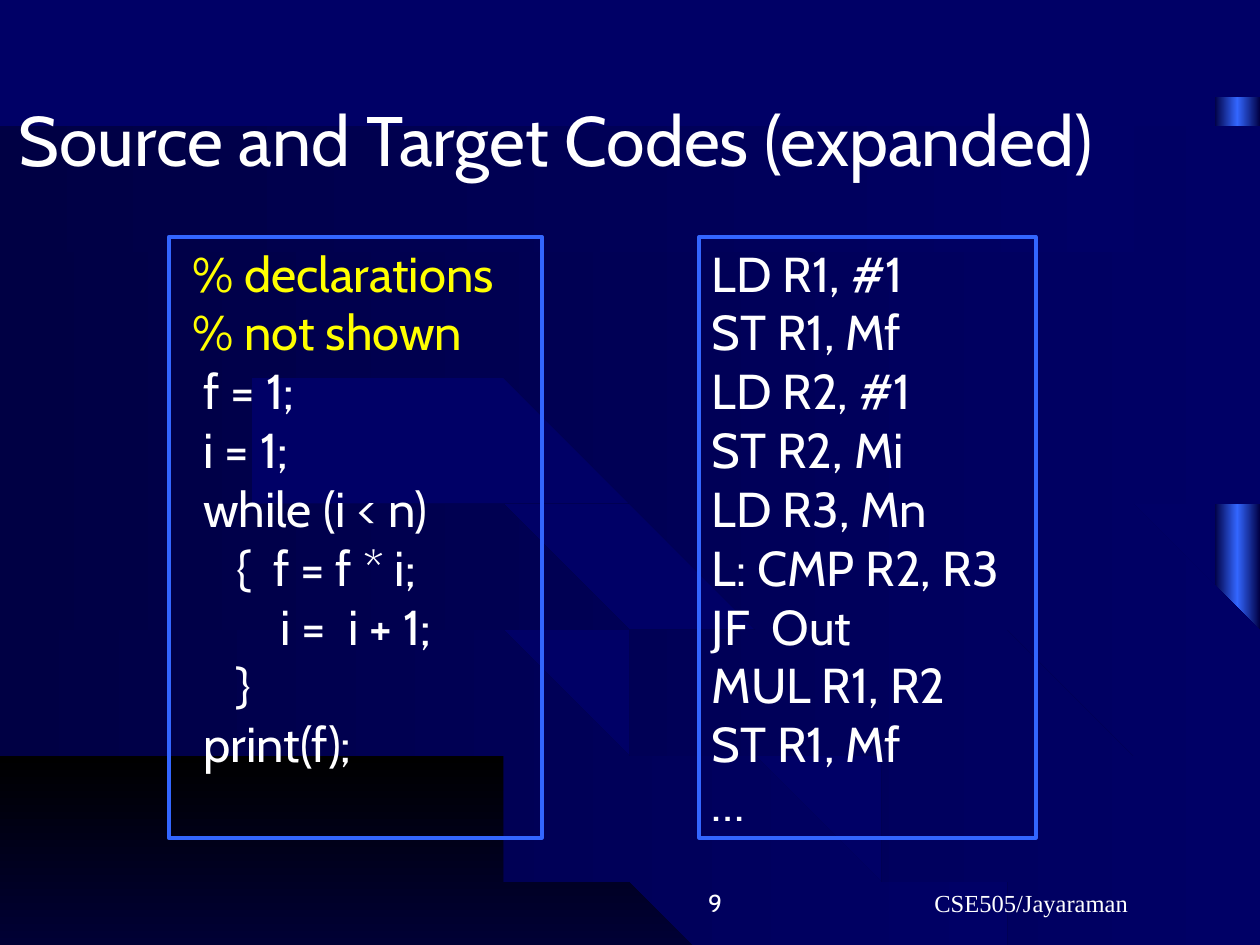
from copy import deepcopy
from dataclasses import dataclass

from pptx import Presentation
from pptx.dml.color import RGBColor
from pptx.enum.shapes import MSO_SHAPE as Shape
from pptx.enum.text import MSO_ANCHOR as Anchor, PP_ALIGN as Align
from pptx.util import Inches, Pt

COLORS = {
    "navy": "000066",
    "dark": "000044",
    "deep": "000048",
    "black": "000000",
    "blue": "3366FF",
    "yellow": "FFFF00",
    "white": "FFFFFF",
}
STEPS = 16


@dataclass
class Edge:
    start_y: float
    end_x: float
    end_y: float
    power: float = 1

    def points(self) -> list[tuple[float, float]]:
        rise = self.end_y - self.start_y
        return [(self.end_x * i / STEPS, self.start_y + rise * (i / STEPS) ** self.power)
                for i in range(STEPS + 1)]


@dataclass
class Band:
    upper: Edge
    lower: Edge
    start: str = "dark"
    end: str = "navy"
    angle: int = 0


@dataclass
class CodeBox:
    left: float
    width: float
    lines: list[str]


BANDS = [
    Band(Edge(5.68, 5.56, 7.5, 2.35), Edge(7.5, 5.56, 7.5), "black", "deep", 270),
    Band(Edge(4.95, 8.2, 7.5, 2.35), Edge(5.54, 5.77, 7.5, 2.45)),
    Band(Edge(4.21, 10, 6.37, 2.5), Edge(4.8, 8.42, 7.5, 2.4)),
    Band(Edge(3.46, 10, 4.56, 2.2), Edge(4.07, 10, 6.19, 2.5)),
    Band(Edge(2.73, 10, 2.73), Edge(3.32, 10, 4.42, 2.25)),
    Band(Edge(2.06, 10, 0.6, 2.8), Edge(2.59, 10, 2.59)),
    Band(Edge(1.39, 5.57, 0.75, 2.3), Edge(1.92, 9.18, 0.75, 2.7)),
    Band(Edge(0.75, 5.02, 0.75), Edge(1.24, 5.02, 0.75, 2.3)),
]

CODE_BOXES = [
    CodeBox(1.34, 2.96, [
        " % declarations",
        " % not shown",
        "  f = 1;",
        "  i = 1;",
        "  while (i < n)",
        "     {  f = f * i;",
        "         i =  i + 1;",
        "     }",
        "  print(f);",
    ]),
    CodeBox(5.55, 2.67, [
        "LD R1, #1",
        "ST R1, Mf",
        "LD R2, #1",
        "ST R2, Mi",
        "LD R3, Mn",
        "L: CMP R2, R3",
        "JF  Out",
        "MUL R1, R2",
        "ST R1, Mf",
        "…",
    ]),
]


def rgb(name: str) -> RGBColor:
    return RGBColor.from_string(COLORS[name])


def set_gradient(sp, start: str, end: str, angle: int = 0) -> None:
    sp.shadow.inherit = False
    sp.line.fill.background()
    sp.fill.gradient()
    sp.fill.gradient_angle = angle
    for stop, color in zip(sp.fill.gradient_stops, (start, end)):
        stop.color.rgb = rgb(color)


def add_strip(s) -> None:
    sp = s.shapes.add_shape(
        Shape.RECTANGLE, Inches(9.64), Inches(0.77), Inches(0.36), Inches(6.73))
    set_gradient(sp, "dark", "blue")
    sp.fill.gradient_stops[1].position = 0.5
    gs_list = sp.fill._fill._gradFill.gsLst
    end = deepcopy(gs_list[0])
    end.set("pos", "100000")
    gs_list.append(end)


def add_band(s, band: Band) -> None:
    corner = (max(band.upper.end_x, band.lower.end_x), band.lower.end_y)
    first, *rest = band.upper.points() + [corner] + band.lower.points()[::-1]
    builder = s.shapes.build_freeform(*first, scale=Inches(1))
    builder.add_line_segments(rest, close=True)
    set_gradient(builder.convert_to_shape(), band.start, band.end, band.angle)


def add_text(s, text: str, left: float, top: float, width: float, height: float,
             *, size: int, font: str = "Cabin", align: Align = Align.LEFT,
             anchor: Anchor = Anchor.TOP):
    sp = s.shapes.add_textbox(Inches(left), Inches(top), Inches(width), Inches(height))
    tf = sp.text_frame
    tf.word_wrap = True
    tf.vertical_anchor = anchor
    for i, line in enumerate(text.split("\n")):
        p = tf.add_paragraph() if i else tf.paragraphs[0]
        p.alignment = align
        r = p.add_run()
        r.text = line
        r.font.size = Pt(size)
        r.font.name = font
        is_comment = line.strip().startswith("%")
        r.font.color.rgb = rgb("yellow" if is_comment else "white")
    return sp


def add_code_box(s, box: CodeBox) -> None:
    sp = add_text(s, "\n".join(box.lines), box.left, 1.88, box.width, 4.77, size=28)
    sp.line.color.rgb = rgb("blue")
    sp.line.width = Pt(2.25)


def main() -> None:
    prs = Presentation()
    prs.slide_width, prs.slide_height = Inches(10), Inches(7.5)
    s = prs.slides.add_slide(prs.slide_layouts[6])
    s.background.fill.solid()
    s.background.fill.fore_color.rgb = rgb("navy")
    add_strip(s)
    for band in BANDS:
        add_band(s, band)
    add_text(s, "CSE505/Jayaraman", 6.6, 6.83, 3.17, 0.5, size=14,
             font="Times New Roman", align=Align.CENTER, anchor=Anchor.BOTTOM)
    add_text(s, "9", 3.75, 6.83, 2.08, 0.5, size=14,
             align=Align.RIGHT, anchor=Anchor.BOTTOM)
    for box in CODE_BOXES:
        add_code_box(s, box)
    add_text(s, "Source and Target Codes (expanded)", 0.05, 0.72, 9.8, 0.77, size=40)
    prs.save("out.pptx")


if __name__ == "__main__":
    main()
